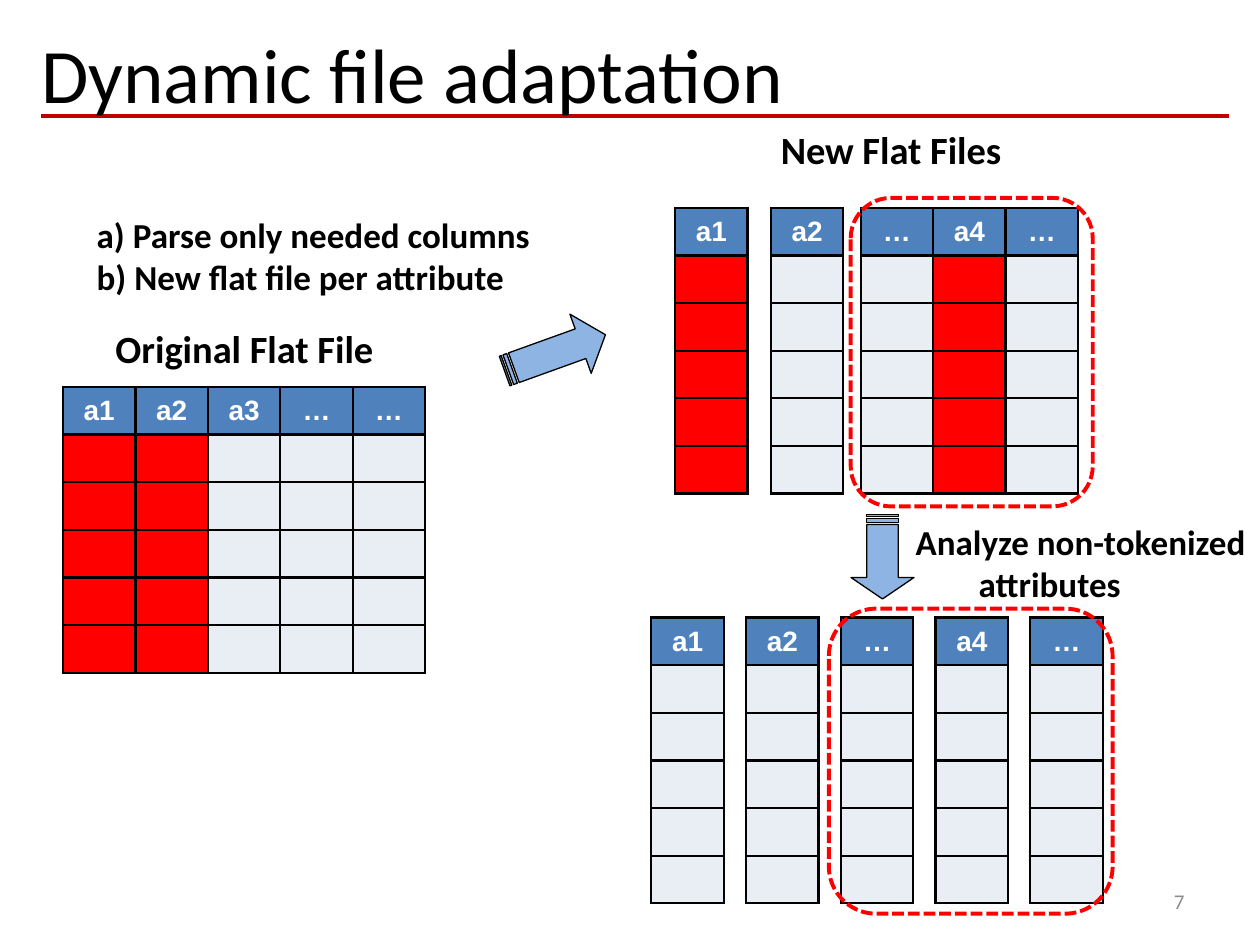
from lxml import etree
from pptx import Presentation
from pptx import util as u
from pptx.dml.color import RGBColor
from pptx.enum import dml, shapes, text
from pptx.oxml import ns

Cm, Pt = u.Cm, u.Pt
ALIGN, SHAPE = text.PP_ALIGN, shapes.MSO_SHAPE
COLUMN, ROW, ROWS = 1.46, 0.96, 6
BLACK, RED, HEADER, BODY = "000000", "FF0000", "4F81BD", "E9EDF4"


def paint(target, colour):
    """Give a fill a solid colour."""
    target.solid()
    target.fore_color.rgb = RGBColor.from_string(colour)


def outline(line, colour, width):
    paint(line.fill, colour)
    line.width = Pt(width)


def add_span(para, words, size, colour=BLACK, bold=False, font="Calibri"):
    span = para.add_run()
    span.text = words
    span.font.size, span.font.bold, span.font.name = Pt(size), bold, font
    span.font.color.rgb = RGBColor.from_string(colour)


def add_text(page, box, lines, size, align=ALIGN.LEFT, hanging=0, **style):
    frame = page.shapes.add_textbox(*map(Cm, box)).text_frame
    frame.word_wrap = True
    for index, words in enumerate(lines):
        para = frame.add_paragraph() if index else frame.paragraphs[0]
        para.alignment = align
        if hanging:
            props = para._p.get_or_add_pPr()
            props.set("marL", str(Cm(hanging)))
            props.set("indent", str(-Cm(hanging)))
        add_span(para, words, size, **style)
    return frame


def add_borders(cell):
    props = cell._tc.get_or_add_tcPr()
    for side in ("a:lnL", "a:lnR", "a:lnT", "a:lnB"):
        edge = etree.SubElement(props, ns.qn(side), w=str(Pt(1.5)))
        fill = etree.SubElement(edge, ns.qn("a:solidFill"))
        etree.SubElement(fill, ns.qn("a:srgbClr"), val=BLACK)


def add_grid(page, left, top, rows, columns, body, names=()):
    """A bordered grid; names, when given, fill its first row."""
    grid = page.shapes.add_table(rows, columns, Cm(left), Cm(top),
                                 Cm(columns * COLUMN), Cm(rows * ROW)).table
    grid.first_row, grid.horz_banding = bool(names), False
    for column in grid.columns:
        column.width = Cm(COLUMN)
    for row in grid.rows:
        row.height = Cm(ROW)
        for cell in row.cells:
            cell.margin_top = cell.margin_bottom = 0
            cell.vertical_anchor = text.MSO_ANCHOR.MIDDLE
            add_borders(cell)
            paint(cell.fill, body)
    for index, name in enumerate(names):
        cell = grid.cell(0, index)
        paint(cell.fill, HEADER)
        para = cell.text_frame.paragraphs[0]
        para.alignment = ALIGN.CENTER
        add_span(para, name, 16, "FFFFFF", True, "Arial")


def add_file(page, left, top, names):
    add_grid(page, left, top, ROWS, len(names), BODY, names)


def add_parsed(page, left, top, columns=1):
    """Red cells over the data rows of a file whose corner is given."""
    add_grid(page, left, top + ROW, ROWS - 1, columns, RED)


def add_arrow(page, box, rotation, head):
    arrow = page.shapes.add_shape(SHAPE.STRIPED_RIGHT_ARROW, *map(Cm, box))
    arrow.shadow.inherit = False
    arrow.rotation = rotation
    arrow.adjustments[1] = head
    paint(arrow.fill, "8EB4E3")
    outline(arrow.line, BLACK, 0.75)


def add_frame(page, box):
    frame = page.shapes.add_shape(SHAPE.ROUNDED_RECTANGLE, *map(Cm, box))
    frame.shadow.inherit = False
    frame.fill.background()
    outline(frame.line, RED, 2.25)
    frame.line.dash_style = dml.MSO_LINE.SQUARE_DOT


def title_region(page, left, top, width):
    rule = page.shapes.add_connector(
        shapes.MSO_CONNECTOR.STRAIGHT, Cm(left + 0.25), Cm(top + 1.93),
        Cm(left + width - 0.21), Cm(top + 1.93))
    outline(rule.line, "C00000", 2.5)
    etree.SubElement(rule._element.spPr, ns.qn("a:effectLst"))
    add_text(page, (left, top, width, 3.18), ["Dynamic file adaptation"], 44)


def original_region(page, left, top):
    # Steps above the file
    add_text(page, (left + 0.43, top, 9.73, 1.96),
             ["a) Parse only needed columns", "b) New flat file per attribute"],
             20, ALIGN.JUSTIFY, 1.27, bold=True)
    # File with its two parsed columns
    add_text(page, (left, top + 2.26, 7.32, 1.19), ["Original Flat File"],
             22, ALIGN.CENTER, bold=True)
    add_file(page, left, top + 3.63, ["a1", "a2", "a3", "…", "…"])
    add_parsed(page, left, top + 3.63, 2)


def new_files_region(page, left, top):
    add_text(page, (left + 1.83, top, 5.05, 1.19), ["New Flat Files"],
             22, ALIGN.CENTER, bold=True)
    files_top, rest = top + 1.78, left + 3.74
    add_file(page, left, files_top, ["a1"])
    add_file(page, left + 1.93, files_top, ["a2"])
    add_file(page, rest, files_top, ["…", "a4", "…"])
    # Dashed frame around the attributes not yet split
    add_frame(page, (rest - 0.2, files_top - 0.2, 4.88, 6.22))
    add_parsed(page, rest + COLUMN, files_top)
    add_parsed(page, left, files_top)


def split_region(page, left, top):
    # One file per attribute
    for index, name in enumerate(["a1", "a2", "…", "a4", "…"]):
        add_file(page, left + 1.91 * index, top, [name])
    add_frame(page, (left + 3.58, top - 0.18, 5.72, 6.15))
    # Caption beside the downward arrow
    add_text(page, (left + 5.08, top - 2.09, 7.2, 1.96),
             ["Analyze non-tokenized attributes"], 20, hanging=1.27, bold=True)


def page_number_region(page, box):
    frame = add_text(page, box, ["7"], 12, ALIGN.RIGHT, colour="8C8C8C")
    frame.vertical_anchor = text.MSO_ANCHOR.MIDDLE


def main():
    deck = Presentation()
    deck.slide_width, deck.slide_height = Cm(25.4), Cm(19.05)
    page = deck.slides.add_slide(deck.slide_layouts[6])
    title_region(page, 0.58, 0.41, 24.41)
    original_region(page, 1.27, 4.17)
    add_arrow(page, (10.11, 6.48, 2.16, 1.27), 340.2, 0.42)
    new_files_region(page, 13.61, 2.41)
    add_arrow(page, (16.94, 10.59, 1.7, 1.27), 90, 0.34)
    split_region(page, 13.13, 12.45)
    page_number_region(page, (18.21, 17.65, 5.92, 1.02))
    deck.save("out.pptx")


if __name__ == "__main__":
    main()
